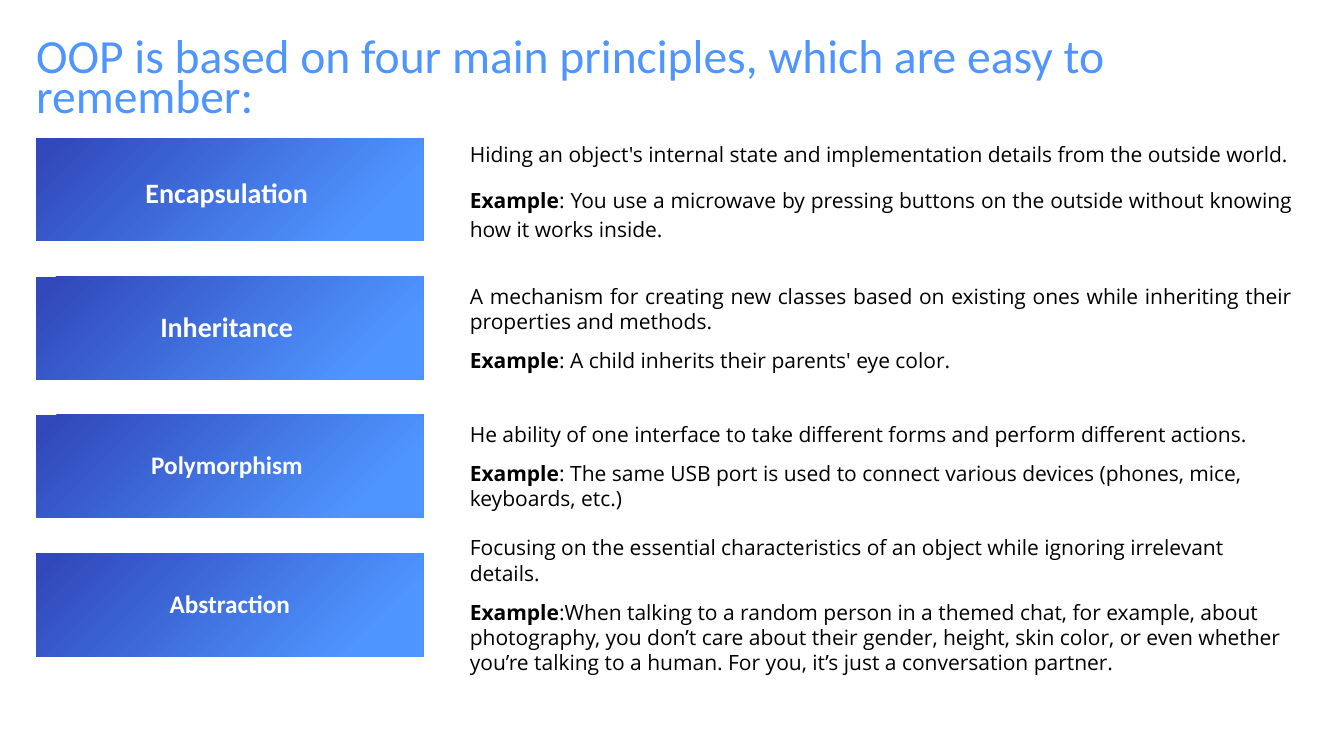
from lxml.etree import SubElement
from pptx import Presentation
from pptx.dml.color import RGBColor
from pptx.enum.shapes import MSO_SHAPE
from pptx.enum.text import MSO_ANCHOR, PP_ALIGN
from pptx.oxml.ns import qn
from pptx.util import Inches, Pt

SKY = RGBColor(0x4F, 0x95, 0xFF)
INDIGO = RGBColor(0x31, 0x48, 0xBA)
WHITE = RGBColor(0xFF, 0xFF, 0xFF)
BLACK = RGBColor(0, 0, 0)
GRADIENT_STOPS = [(0, SKY), (15, SKY), (96, INDIGO), (100, INDIGO)]

# Grid in inches: two columns and four equally spaced rows
LABEL_LEFT, LABEL_WIDTH = 0.36, 3.84
DETAIL_LEFT, DETAIL_WIDTH = 4.66, 8.26
FIRST_ROW, LAST_ROW, ROW_HEIGHT = 1.37, 5.49, 1.02

# name, name size, name line spacing, detail line spacing, gap, alignment, definition, example
PRINCIPLES = [
    ("Encapsulation ", 20, 1.15, 1.15, 12, PP_ALIGN.JUSTIFY,
     "Hiding an object's internal state and implementation details from the outside world.",
     ": You use a microwave by pressing buttons on the outside without knowing how it works inside."),
    ("Inheritance ", 20, 0.9, 1.0, 10, PP_ALIGN.JUSTIFY,
     "A mechanism for creating new classes based on existing ones while inheriting their "
     "properties and methods.",
     ": A child inherits their parents' eye color."),
    ("Polymorphism ", 18, 0.9, 1.0, 10, PP_ALIGN.LEFT,
     "He ability of one interface to take different forms and perform different actions.",
     ": The same USB port is used to connect various devices (phones, mice, keyboards, etc.)"),
    ("Abstraction", 18, 0.9, 1.0, 10, PP_ALIGN.LEFT,
     "Focusing on the essential characteristics of an object while ignoring irrelevant details.",
     ":When talking to a random person in a themed chat, for example, about photography, "
     "you don’t care about their gender, height, skin color, or even whether you’re talking "
     "to a human. For you, it’s just a conversation partner."),
]


class PrinciplesSlide:
    heading_font = "Calibri"
    body_font = "Open Sans"

    def __init__(self, deck):
        self.slide = deck.slides.add_slide(deck.slide_layouts[6])

    def row_top(self, row):
        return FIRST_ROW + row * (LAST_ROW - FIRST_ROW) / (len(PRINCIPLES) - 1)

    def style(self, span, font, size, color, bold=False):
        span.font.name = font
        span.font.size = Pt(size)
        span.font.color.rgb = color
        span.font.bold = bold

    def text_box(self, left, top, width, height, anchor):
        box = self.slide.shapes.add_textbox(*map(Inches, (left, top, width, height)))
        frame = box.text_frame
        frame.word_wrap = True
        frame.margin_left = 0
        frame.vertical_anchor = anchor
        return frame

    def title(self, text):
        frame = self.text_box(LABEL_LEFT, 0.36, 12.56, 0.62, MSO_ANCHOR.TOP)
        frame.text = text
        para = frame.paragraphs[0]
        para.line_spacing = 0.7
        self.style(para.runs[0], self.heading_font, 34, SKY)

    def fill_from_corner(self, box):
        """Fill with a circular gradient centred on the bottom right corner."""
        box.fill.gradient()
        gradient = box._element.spPr.find(qn("a:gradFill"))
        for child in list(gradient):
            gradient.remove(child)
        stops = SubElement(gradient, qn("a:gsLst"))
        for percent, color in GRADIENT_STOPS:
            stop = SubElement(stops, qn("a:gs"), pos=str(percent * 1000))
            SubElement(stop, qn("a:srgbClr"), val=str(color))
        circle = SubElement(gradient, qn("a:path"))
        circle.set("path", "circle")
        SubElement(circle, qn("a:fillToRect"), l="100000", t="100000")

    def label(self, row, text, size, line_spacing):
        place = (LABEL_LEFT, self.row_top(row), LABEL_WIDTH, ROW_HEIGHT)
        box = self.slide.shapes.add_shape(MSO_SHAPE.RECTANGLE, *map(Inches, place))
        box.shadow.inherit = False
        box.line.fill.background()
        self.fill_from_corner(box)
        frame = box.text_frame
        frame.word_wrap = True
        frame.vertical_anchor = MSO_ANCHOR.MIDDLE
        frame.text = text
        para = frame.paragraphs[0]
        para.alignment = PP_ALIGN.CENTER
        para.line_spacing = line_spacing
        self.style(para.runs[0], self.heading_font, size, WHITE, bold=True)

    def detail(self, row, definition, example, line_spacing, gap, alignment):
        frame = self.text_box(DETAIL_LEFT, self.row_top(row), DETAIL_WIDTH, ROW_HEIGHT,
                              MSO_ANCHOR.MIDDLE)
        frame.text = definition
        example_para = frame.add_paragraph()
        example_para.text = "Example"
        example_para.add_run().text = example
        example_para.space_before = Pt(gap)
        for para in frame.paragraphs:
            para.alignment = alignment
            para.line_spacing = line_spacing
            for span in para.runs:
                self.style(span, self.body_font, 15, BLACK)
        example_para.runs[0].font.bold = True


def main():
    deck = Presentation()
    deck.slide_width, deck.slide_height = Inches(13.33), Inches(7.5)
    page = PrinciplesSlide(deck)
    page.title("OOP is based on four main principles, which are easy to remember:")
    for row, principle in enumerate(PRINCIPLES):
        name, size, name_spacing, spacing, gap, alignment, definition, example = principle
        page.label(row, name, size, name_spacing)
        page.detail(row, definition, example, spacing, gap, alignment)
    deck.save("out.pptx")


if __name__ == "__main__":
    main()
